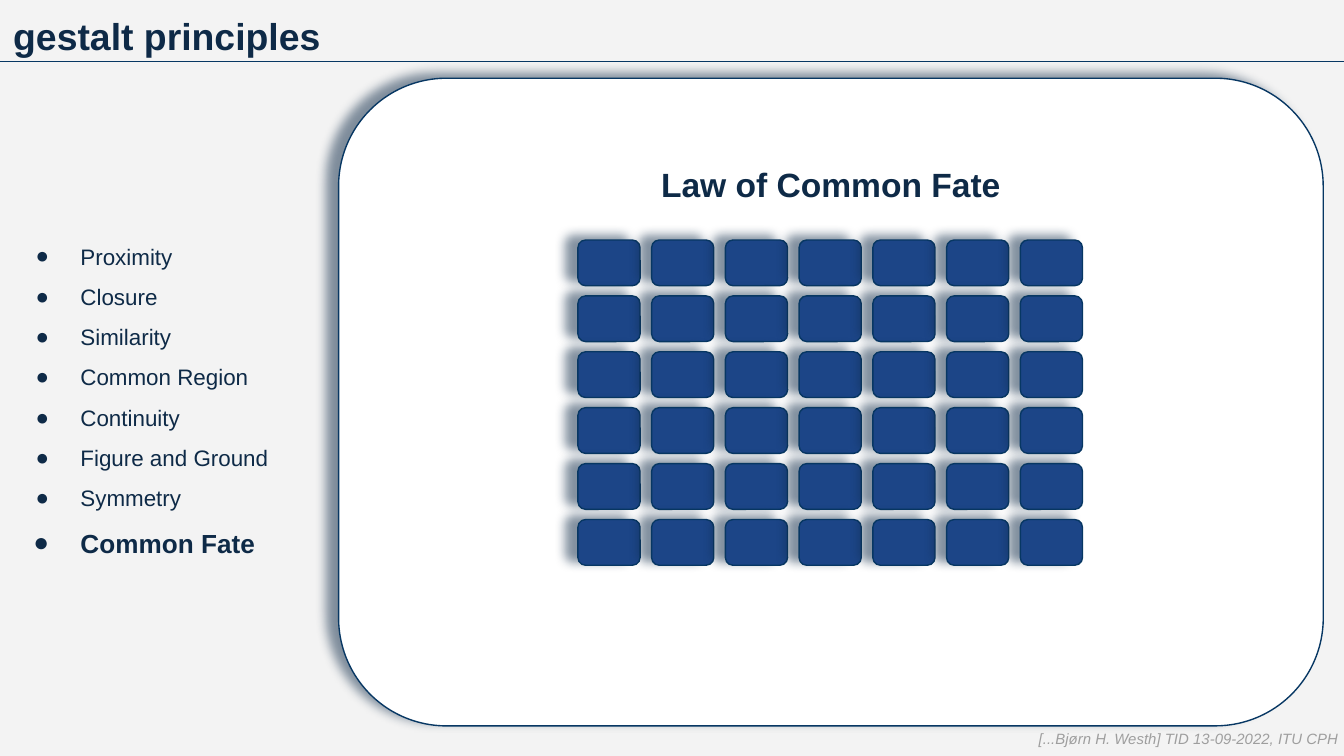
from lxml import etree
from pptx import Presentation
from pptx.dml.color import RGBColor
from pptx.enum.shapes import MSO_CONNECTOR, MSO_SHAPE
from pptx.enum.text import MSO_ANCHOR, PP_ALIGN
from pptx.oxml.ns import qn
from pptx.util import Pt

RECT, ROUND = MSO_SHAPE.RECTANGLE, MSO_SHAPE.ROUNDED_RECTANGLE
TOP, MIDDLE = MSO_ANCHOR.TOP, MSO_ANCHOR.MIDDLE
LEFT, CENTER = PP_ALIGN.LEFT, PP_ALIGN.CENTER

NAVY = RGBColor(0x0E, 0x2A, 0x47)
BORDER = RGBColor(0x07, 0x37, 0x63)
BLUE = RGBColor(0x1C, 0x45, 0x87)
WHITE = RGBColor(0xFF, 0xFF, 0xFF)
PALE = RGBColor(0xF3, 0xF3, 0xF3)
GREY = RGBColor(0x9E, 0x9E, 0x9E)

TITLE = "gestalt principles"
PRINCIPLES = ["Proximity", "Closure", "Similarity", "Common Region",
              "Continuity", "Figure and Ground", "Symmetry"]
CURRENT = "Common Fate"
HEADING = "Law of Common Fate"
FOOTER = "[...Bjørn H. Westh] TID 13-09-2022, ITU CPH"

TITLE_FONT = {"size": Pt(20), "bold": True}
ITEM_FONT = {"size": Pt(12)}
CURRENT_FONT = {"size": Pt(14), "bold": True}
HEADING_FONT = {"size": Pt(18), "bold": True}
FOOTER_FONT = {"size": Pt(8), "italic": True}

SIDEBAR_BOX = (0, 36, 181.4, 350)
TITLE_BOX = (0, 0, 720, 36)
PANEL_BOX = (181.4, 41.9, 527.5, 347)
FOOTER_BOX = (549.4, 386, 177.8, 24.5)
RULE_Y = 33
COLUMNS, ROWS = 7, 6
GRID_LEFT, GRID_TOP = 309.6, 128.6
PITCH_X, PITCH_Y = 39.5, 29.95
TILE_W, TILE_H = 33.3, 24.5


def box_pt(box):
    return [Pt(v) for v in box]


def add_shadow(shape):
    effects = shape._element.spPr.find(qn("a:effectLst"))
    shadow = etree.SubElement(effects, qn("a:outerShdw"), blurRad=str(Pt(5.6)),
                              dist=str(Pt(6.8)), dir=str(199 * 60000),
                              algn="bl", rotWithShape="0")
    color = etree.SubElement(shadow, qn("a:srgbClr"), val=str(NAVY))
    etree.SubElement(color, qn("a:alpha"), val="51000")


def add_box(s, kind, box, fill, border=None):
    """Add a filled shape; a bordered one also gets the shadow."""
    sp = s.shapes.add_shape(kind, *box_pt(box))
    sp.shadow.inherit = False
    sp.fill.solid()
    sp.fill.fore_color.rgb = fill
    if border is None:
        sp.line.fill.background()
    else:
        sp.line.color.rgb = border
        sp.line.width = Pt(0.75)
        add_shadow(sp)
    return sp


def set_frame(sp, anchor=TOP):
    tf = sp.text_frame
    frame = {"word_wrap": True, "vertical_anchor": anchor}
    for side in ("left", "right", "top", "bottom"):
        frame["margin_" + side] = Pt(7.2)
    for name, value in frame.items():
        setattr(tf, name, value)
    return tf


def write(p, text, font, color=NAVY, align=LEFT, spacing=None):
    p.alignment = align
    p.line_spacing = spacing
    r = p.add_run()
    r.text = text
    for name, value in {"name": "Arial", **font}.items():
        setattr(r.font, name, value)
    r.font.color.rgb = color


def add_bullet(p, indent):
    pPr = p._p.get_or_add_pPr()
    pPr.set("marL", str(Pt(36)))
    pPr.set("indent", str(-Pt(indent)))
    color = etree.SubElement(pPr, qn("a:buClr"))
    etree.SubElement(color, qn("a:srgbClr"), val=str(NAVY))
    etree.SubElement(pPr, qn("a:buFont"), typeface="Arial")
    etree.SubElement(pPr, qn("a:buChar"), char="●")


def add_sidebar(s):
    tf = set_frame(add_box(s, RECT, SIDEBAR_BOX, PALE), MIDDLE)
    items = [(text, ITEM_FONT, 24) for text in PRINCIPLES]
    items.append((CURRENT, CURRENT_FONT, 25.2))
    for i, (text, font, indent) in enumerate(items):
        p = tf.add_paragraph() if i else tf.paragraphs[0]
        add_bullet(p, indent)
        write(p, text, font, spacing=1.5)


def add_label(s, box, text, font, color=NAVY):
    tf = set_frame(s.shapes.add_textbox(*box_pt(box)))
    write(tf.paragraphs[0], text, font, color)


def add_rule(s):
    rule = s.shapes.add_connector(MSO_CONNECTOR.STRAIGHT,
                                  *box_pt((0, RULE_Y, 720, RULE_Y)))
    rule.line.color.rgb = BORDER
    rule.line.width = Pt(0.75)
    etree.SubElement(rule._element.spPr, qn("a:effectLst"))


def add_tiles(s):
    for col in range(COLUMNS):
        for row in range(ROWS):
            box = (GRID_LEFT + col * PITCH_X, GRID_TOP + row * PITCH_Y,
                   TILE_W, TILE_H)
            add_box(s, ROUND, box, BLUE, BORDER)


def main():
    prs = Presentation()
    prs.slide_width, prs.slide_height = Pt(720), Pt(405)
    s = prs.slides.add_slide(prs.slide_layouts[6])
    s.background.fill.solid()
    s.background.fill.fore_color.rgb = PALE

    add_sidebar(s)
    add_label(s, TITLE_BOX, TITLE, TITLE_FONT)
    panel = add_box(s, ROUND, PANEL_BOX, WHITE, BORDER)
    write(set_frame(panel).paragraphs[0], HEADING, HEADING_FONT,
          align=CENTER, spacing=2.0)
    add_rule(s)
    add_tiles(s)
    add_label(s, FOOTER_BOX, FOOTER, FOOTER_FONT, GREY)
    prs.save("out.pptx")


if __name__ == "__main__":
    main()
